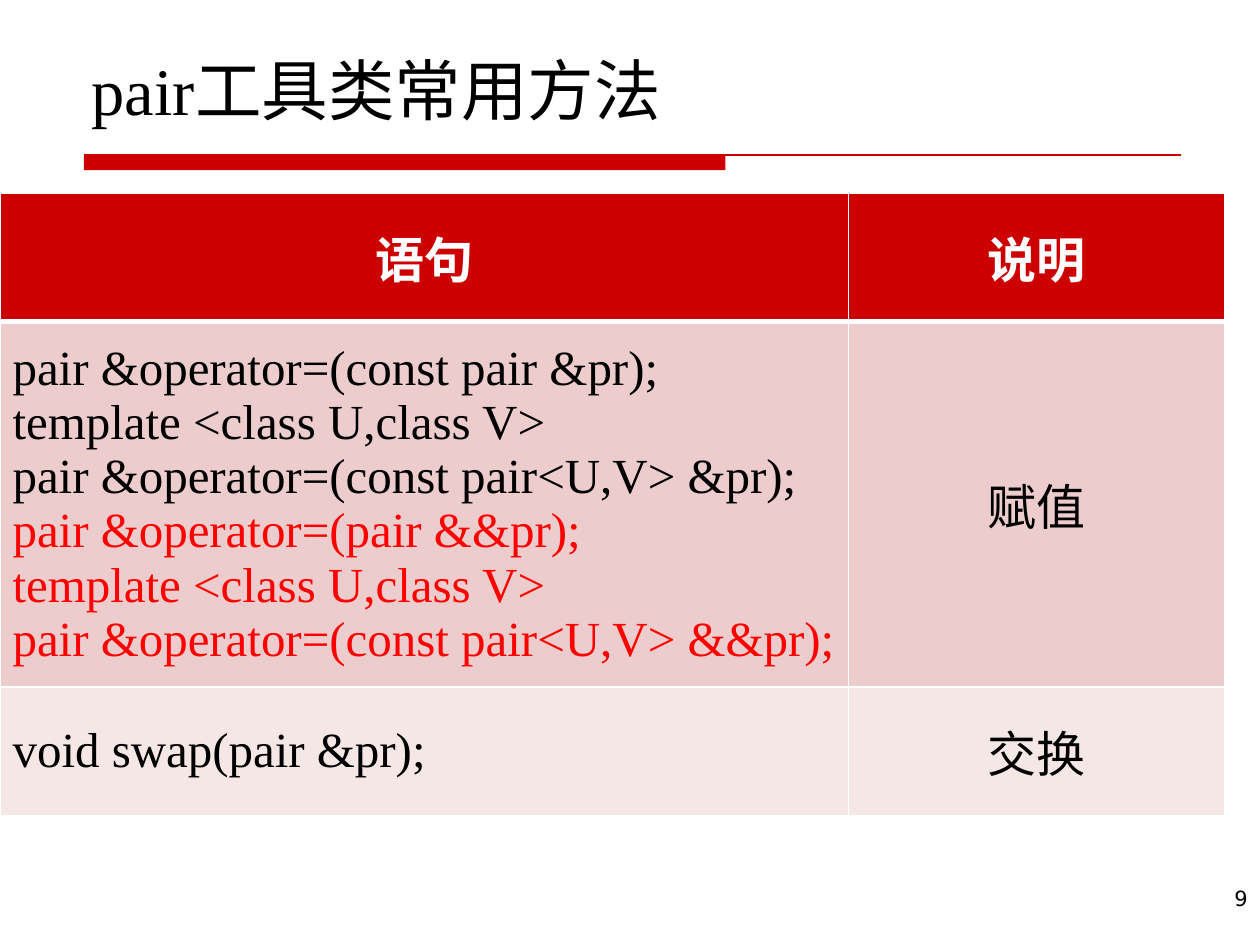
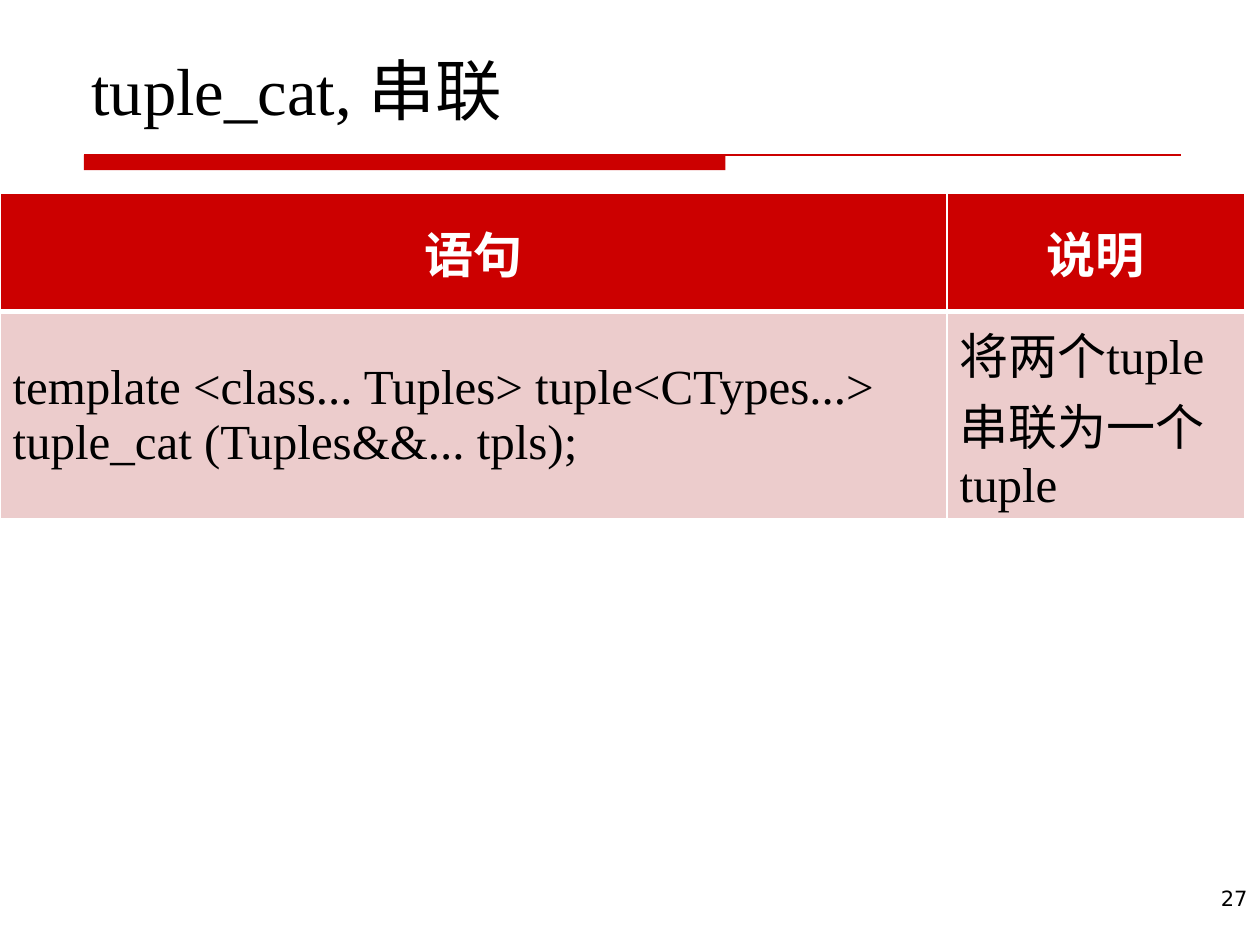
from lxml import etree
from pptx import Presentation
from pptx.dml.color import RGBColor
from pptx.enum.shapes import MSO_CONNECTOR, MSO_SHAPE
from pptx.enum.text import MSO_ANCHOR, PP_ALIGN
from pptx.oxml.ns import qn
from pptx.util import Pt

LEFT, CENTER, RIGHT = PP_ALIGN.LEFT, PP_ALIGN.CENTER, PP_ALIGN.RIGHT
TOP, MIDDLE, BOTTOM = MSO_ANCHOR.TOP, MSO_ANCHOR.MIDDLE, MSO_ANCHOR.BOTTOM
COLORS = {
    "accent": "CC0000",
    "new": "FF0000",
    "text": "000000",
    "white": "FFFFFF",
    "band_dark": "ECCCCC",
    "band_light": "F6E7E7",
}
SERIF, SANS = "Times New Roman", "DejaVu Sans"

HEADER = ("语句", "说明")
SLIDES = [
    {
        "title": "pair工具类常用方法",
        "number": "9",
        "columns": (485, 215),
        "heights": (73.4, 193.5, 73.4),
        "rows": [
            HEADER,
            (
                "pair &operator=(const pair &pr);\n"
                "template <class U,class V>\n"
                "pair &operator=(const pair<U,V> &pr);\n"
                "pair &operator=(pair &&pr);\n"
                "template <class U,class V>\n"
                "pair &operator=(const pair<U,V> &&pr);",
                "赋值",
            ),
            ("void swap(pair &pr);", "交换"),
        ],
        "new_from": 3,
        "note_align": CENTER,
    },
    {
        "title": "tuple_cat, 串联",
        "number": "27",
        "columns": (541.2, 170),
        "heights": (67.7, 118.8),
        "rows": [
            HEADER,
            (
                "template <class... Tuples> tuple<CTypes...> tuple_cat (Tuples&&... tpls);",
                "将两个tuple串联为一个tuple",
            ),
        ],
        "new_from": 6,
        "note_align": LEFT,
    },
]


def write(holder, text, size, font, color, align, bold=False):
    holder.text_frame.word_wrap = True
    holder.text_frame.text = text
    for para in holder.text_frame.paragraphs:
        para.alignment = align
        para.font.size = Pt(size)
        para.font.name = font
        para.font.bold = bold
        para.font.color.rgb = RGBColor.from_string(COLORS[color])


def border(cell, **widths):
    properties = cell._tc.get_or_add_tcPr()
    for side, width in widths.items():
        line = etree.SubElement(properties, qn(f"a:ln{side}"), w=str(Pt(width)))
        fill = etree.SubElement(line, qn("a:solidFill"))
        etree.SubElement(fill, qn("a:srgbClr"), val=COLORS["white"])


deck = Presentation()
deck.slide_width, deck.slide_height = Pt(720), Pt(540)
accent = RGBColor.from_string(COLORS["accent"])

for content in SLIDES:
    page = deck.slides.add_slide(deck.slide_layouts[6])

    bar = page.shapes.add_shape(MSO_SHAPE.RECTANGLE, Pt(48), Pt(88.5), Pt(366.5), Pt(8.7))
    bar.shadow.inherit = False
    bar.fill.solid()
    bar.fill.fore_color.rgb = accent
    bar.line.fill.background()

    rule = page.shapes.add_connector(MSO_CONNECTOR.STRAIGHT, Pt(48), Pt(88.5), Pt(674.8), Pt(88.5))
    rule.line.color.rgb = accent
    rule.line.width = Pt(0.75)
    etree.SubElement(rule._element.spPr, qn("a:effectLst"))

    number = page.shapes.add_textbox(Pt(566), Pt(502.5), Pt(154), Pt(37.5))
    number.text_frame.vertical_anchor = TOP
    write(number, content["number"], 12, SANS, "text", RIGHT)

    title = page.shapes.add_textbox(Pt(45.2), Pt(23.8), Pt(630), Pt(53.3))
    title.text_frame.vertical_anchor = BOTTOM
    write(title, content["title"], 38, SERIF, "text", LEFT)

    rows, columns, heights = content["rows"], content["columns"], content["heights"]
    frame = page.shapes.add_table(
        len(rows), len(columns), Pt(0), Pt(110.2), Pt(sum(columns)), Pt(sum(heights))
    )
    table = frame.table
    table.first_row = table.horz_banding = False
    for column, width in zip(table.columns, columns):
        column.width = Pt(width)
    for row, height in zip(table.rows, heights):
        row.height = Pt(height)

    fills = ("accent", "band_dark", "band_light")
    for row_index, row in enumerate(rows):
        is_header = row_index == 0
        for column_index, text in enumerate(row):
            cell = table.cell(row_index, column_index)
            border(cell, L=1, R=1, T=3 if row_index == 1 else 1, B=3 if is_header else 1)
            cell.fill.solid()
            cell.fill.fore_color.rgb = RGBColor.from_string(COLORS[fills[row_index]])
            cell.vertical_anchor = MIDDLE
            if is_header:
                align = CENTER
            else:
                align = content["note_align"] if column_index else LEFT
            write(cell, text, 28, SERIF, "white" if is_header else "text", align, is_header)

    statements = table.cell(1, 0).text_frame.paragraphs
    for para in statements[content["new_from"]:]:
        para.font.color.rgb = RGBColor.from_string(COLORS["new"])

deck.save("out.pptx")
